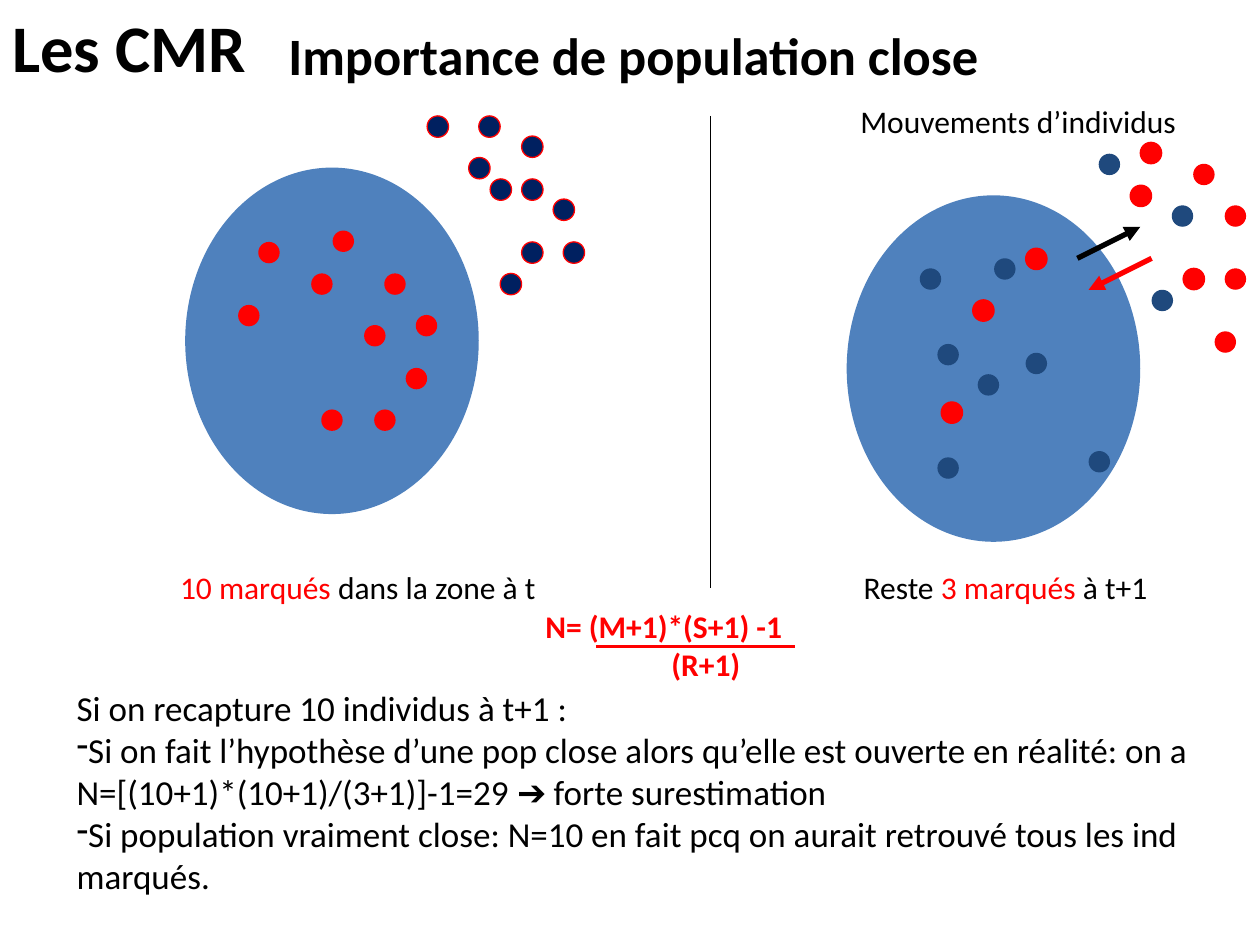
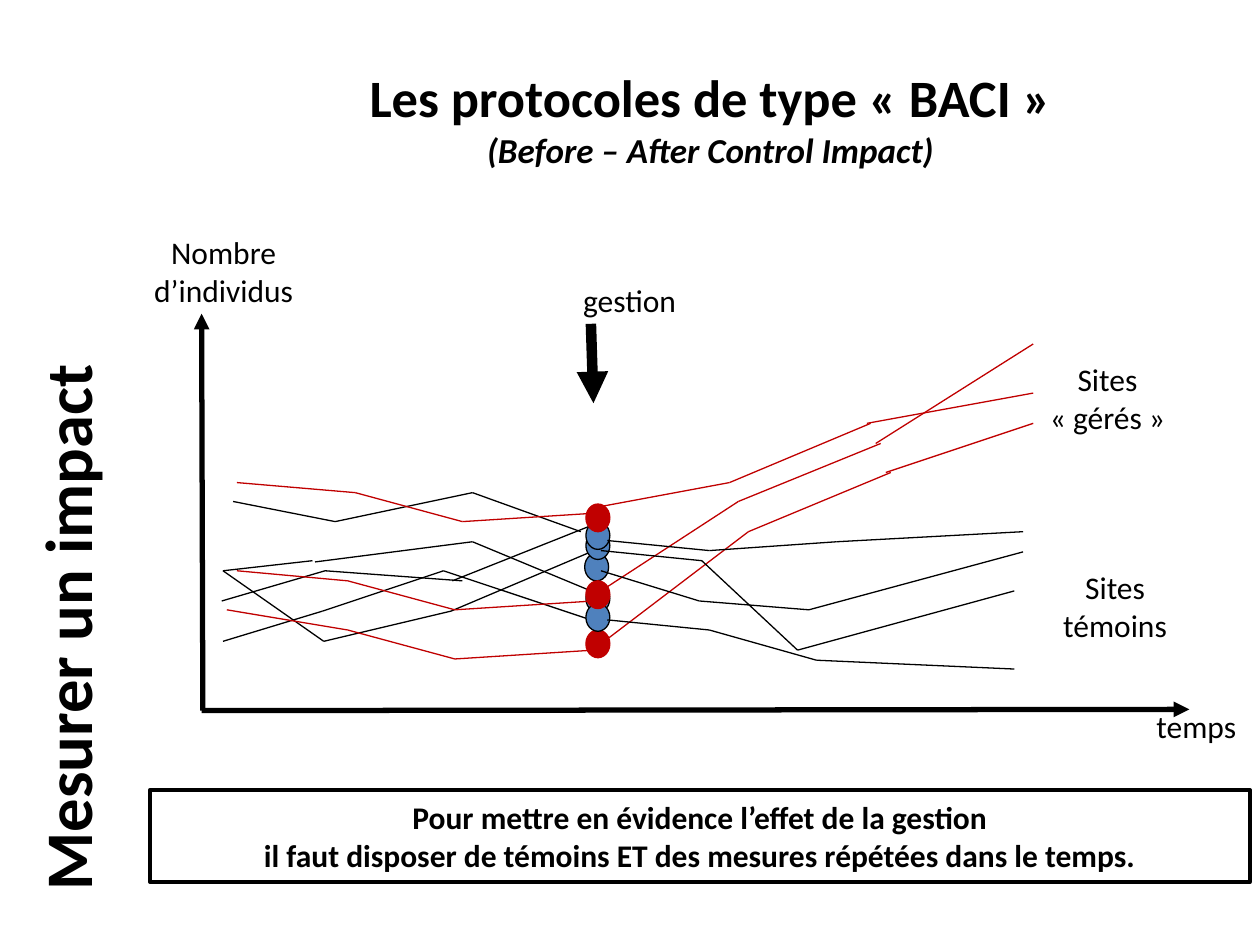
from itertools import pairwise

from lxml.etree import SubElement
from pptx import Presentation
from pptx.dml.color import RGBColor
from pptx.enum.shapes import MSO_CONNECTOR, MSO_SHAPE
from pptx.enum.text import MSO_AUTO_SIZE, PP_ALIGN
from pptx.oxml.ns import qn
from pptx.util import Cm, Pt

BLACK = RGBColor(0x00, 0x00, 0x00)
RED = RGBColor(0xFF, 0x00, 0x00)
DARK_RED = RGBColor(0xC0, 0x00, 0x00)
BLUE = RGBColor(0x4F, 0x81, 0xBD)
DEEP_BLUE = RGBColor(0x1F, 0x49, 0x7D)
NAVY = RGBColor(0x00, 0x20, 0x60)

GRID = 2.54
SLIDE_SIZE = (10, 7.5)
ZONE_SIZE = (2.33, 2.75)
ANIMAL_SIZE = (0.17, 0.17)
SITE_SIZE = (0.19, 0.22)
THIN = 0.75

STYLES = {
    "section": {"size": Pt(38), "bold": True},
    "title": {"size": Pt(30), "bold": True},
    "subtitle": {"size": Pt(20), "bold": True, "italic": True},
    "body": {"size": Pt(20)},
    "label": {"size": Pt(18)},
    "strong": {"size": Pt(18), "bold": True},
}
LEFT = {"alignment": PP_ALIGN.LEFT}
CENTER = {"alignment": PP_ALIGN.CENTER}
FIT = {"word_wrap": False, "auto_size": MSO_AUTO_SIZE.SHAPE_TO_FIT_TEXT}
WRAP = {**FIT, "word_wrap": True}

ZONES = [(1.47, 1.33), (6.72, 1.55)]
ANIMALS = [
    (RED, None, [
        (1.89, 2.42), (2.47, 2.17), (2.55, 3.25), (2.97, 3.25), (3.05, 2.17),
        (2.89, 2.58), (2.64, 1.83), (3.3, 2.5), (3.22, 2.92), (2.05, 1.92),
        (9.64, 2.63), (9.72, 2.13), (9.47, 1.3), (9.72, 1.63),
    ]),
    (NAVY, RED, [
        (4.39, 1.58), (4.14, 1.08), (4.14, 1.92), (3.89, 1.42), (4.47, 1.92),
        (3.97, 2.17), (4.14, 1.42), (3.39, 0.92), (3.8, 0.92), (3.72, 1.25),
    ]),
    (DEEP_BLUE, None, [
        (9.3, 1.63), (9.14, 2.3), (8.14, 2.8), (7.89, 2.05), (8.72, 1.22),
        (7.3, 2.13), (7.76, 2.97), (8.64, 3.58), (7.44, 2.73), (7.44, 3.63),
    ]),
    (RED, RED, [
        (7.72, 2.38), (9.39, 2.13), (8.14, 1.97), (7.47, 3.19), (9.05, 1.13),
        (8.97, 1.47),
    ]),
]
DIVIDER = [(5.64, 0.92), (5.64, 4.67)]
DEPARTURE = [(8.55, 2.05), (9.05, 1.8)]
ARRIVAL = [(9.14, 2.05), (8.64, 2.3)]
FRACTION_BAR = [(4.73, 5.13), (6.31, 5.13)]

CLOSED_POPULATION_TEXTS = [
    ((0, 0, 2.44, 0.74), FIT, LEFT, [("section", [("Les CMR", BLACK)])]),
    ((2.19, 0.13, 6.48, 0.6), FIT, LEFT,
     [("title", [("Importance de population close", BLACK)])]),
    ((6.73, 0.76, 2.74, 0.4), FIT, LEFT,
     [("label", [("Mouvements d’individus", BLACK)])]),
    ((1.07, 4.46, 3.54, 0.4), WRAP, CENTER,
     [("label", [("10 marqués ", RED), ("dans la zone à t", BLACK)])]),
    ((6.74, 4.46, 2.48, 0.4), FIT, CENTER,
     [("label", [("Reste ", BLACK), ("3 marqués ", RED), ("à t+1", BLACK)])]),
    ((4.23, 4.77, 2.5, 0.71), WRAP, LEFT,
     [("strong", [("N= (M+1)*(S+1) -1", RED)]),
      ("strong", [("(R+1)", RED)], {"indent": 1})]),
    ((0.51, 5.4, 9.14, 1.78), WRAP, LEFT,
     [("body", [("Si on recapture 10 individus à t+1 :", BLACK)]),
      ("body", [("Si on fait l’hypothèse d’une pop close alors qu’elle est "
                 "ouverte en réalité: on a N=[(10+1)*(10+1)/(3+1)]-1=29 ➔ "
                 "forte surestimation", BLACK)], {"bullet": "-"}),
      ("body", [("Si population vraiment close: N=10 en fait pcq on aurait "
                 "retrouvé tous les ind marqués.", BLACK)], {"bullet": "-"})]),
]

AXES = [[(1.61, 5.64), (1.6, 2.49)], [(1.6, 5.64), (9.44, 5.63)]]
MANAGEMENT_ARROW = [(4.69, 2.57), (4.71, 3.2)]
CONTROLS_BEFORE = [
    [(1.76, 4.77), (2.58, 4.53), (3.67, 4.61)],
    [(3.59, 4.61), (4.67, 4.18)],
    [(1.77, 5.09), (2.56, 4.85), (3.52, 4.53), (4.69, 4.92)],
    [(1.85, 3.98), (2.66, 4.14), (3.75, 3.91), (4.61, 4.22)],
    [(1.77, 4.53), (2.57, 5.09), (3.58, 4.85), (4.69, 4.38)],
    [(1.77, 4.53), (2.48, 4.45)],
    [(2.5, 4.46), (3.75, 4.3), (4.69, 4.69)],
]
CONTROLS_AFTER = [
    [(4.82, 4.92), (5.63, 5), (6.48, 5.24), (8.05, 5.31)],
    [(4.77, 4.53), (5.55, 4.77), (6.42, 4.84), (8.12, 4.38)],
    [(4.82, 4.29), (5.63, 4.37), (6.64, 4.3), (8.12, 4.22)],
    [(4.77, 4.37), (5.57, 4.45), (6.33, 5.16), (8.05, 4.69)],
]
MANAGED_BEFORE = [
    [(1.88, 3.83), (2.82, 3.91), (3.67, 4.14), (4.77, 4.07)],
    [(1.88, 4.53), (2.76, 4.61), (3.61, 4.84), (4.71, 4.77)],
    [(1.8, 4.84), (2.76, 5), (3.61, 5.23), (4.71, 5.16)],
]
MANAGED_AFTER = [
    [(4.77, 4.02), (5.79, 3.83), (6.91, 3.36)],
    [(6.88, 3.36), (8.2, 3.12)],
    [(4.77, 4.69), (5.86, 3.98), (6.99, 3.52)],
    [(6.95, 3.52), (8.2, 2.73)],
    [(4.77, 5.11), (5.94, 4.22), (7.07, 3.75)],
    [(7.03, 3.75), (8.2, 3.36)],
]
SITES_AT_MANAGEMENT = [
    (DARK_RED, DARK_RED, [(4.65, 5)]),
    (BLUE, BLACK, [(4.64, 4.39), (4.65, 4.64), (4.65, 4.79), (4.65, 4.22),
                   (4.65, 4.14)]),
    (DARK_RED, DARK_RED, [(4.65, 4.61), (4.65, 4)]),
]

CONCLUSION = ((1.19, 6.27, 8.73, 0.73), WRAP, CENTER, [
    ("strong", [("Pour mettre en évidence l’effet de la gestion", BLACK)]),
    ("strong", [("il faut disposer de témoins ET des mesures répétées dans le "
                 "temps.", BLACK)]),
])
BACI_TEXTS = [
    ((2.81, 0.47, 5.66, 0.94), FIT, CENTER,
     [("title", [("Les protocoles de type « BACI »", BLACK)]),
      ("subtitle", [("(Before – After Control Impact)", BLACK)])]),
    ((1.09, 1.8, 1.37, 0.7), FIT, CENTER,
     [("label", [("Nombre", BLACK)]), ("label", [("d’individus", BLACK)])]),
    ((4.53, 2.18, 1.01, 0.4), FIT, LEFT, [("label", [("gestion", BLACK)])]),
    ((8.17, 2.81, 1.24, 0.7), FIT, CENTER,
     [("label", [("Sites", BLACK)]), ("label", [("« gérés »", BLACK)])]),
    ((8.31, 4.46, 1.08, 0.7), FIT, CENTER,
     [("label", [("Sites", BLACK)]), ("label", [("témoins", BLACK)])]),
    ((9.08, 5.56, 0.88, 0.4), FIT, LEFT, [("label", [("temps", BLACK)])]),
]
SIDE_TITLE = ((-1.93, 4.34, 4.91, 0.74), FIT, LEFT,
              [("section", [("Mesurer un impact", BLACK)])])


def lengths(*values):
    return [Cm(value * GRID) for value in values]


def apply(target, values):
    for name, value in values.items():
        setattr(target, name, value)


def set_indent(paragraph, indent=0, bullet=None):
    properties = paragraph._p.get_or_add_pPr()
    properties.set("marL", str(Cm(indent * GRID)))
    properties.set("indent", "0")
    if bullet:
        SubElement(properties, qn("a:buFontTx"))
        SubElement(properties, qn("a:buChar"), char=bullet)


def write(frame, fitting, alignment, lines):
    apply(frame, fitting)
    for index, (style, pieces, *layout) in enumerate(lines):
        paragraph = frame.add_paragraph() if index else frame.paragraphs[0]
        apply(paragraph, alignment)
        for options in layout:
            set_indent(paragraph, **options)
        for wording, colour in pieces:
            run = paragraph.add_run()
            run.text = wording
            apply(run.font, {"name": "Calibri", **STYLES[style]})
            run.font.color.rgb = colour


def add_text(slide, place, *content):
    box = slide.shapes.add_textbox(*lengths(*place))
    write(box.text_frame, *content)
    return box


def add_figure(slide, kind, place, fill=None, outline=None, width=THIN):
    figure = slide.shapes.add_shape(kind, *lengths(*place))
    figure.shadow.inherit = False
    if fill is None:
        figure.fill.background()
    else:
        figure.fill.solid()
        figure.fill.fore_color.rgb = fill
    if outline is None:
        figure.line.fill.background()
    else:
        figure.line.color.rgb = outline
        figure.line.width = Pt(width)
    return figure


def add_dots(slide, groups, size):
    for fill, outline, corners in groups:
        for corner in corners:
            add_figure(slide, MSO_SHAPE.OVAL, corner + size, fill, outline)


def add_path(slide, points, colour=BLACK, width=THIN, arrow=False):
    for start, end in pairwise(points):
        segment = slide.shapes.add_connector(
            MSO_CONNECTOR.STRAIGHT, *lengths(*start, *end))
        segment.line.color.rgb = colour
        segment.line.width = Pt(width)
        if arrow:
            SubElement(segment.line._get_or_add_ln(), qn("a:tailEnd"),
                       type="triangle")
        SubElement(segment._element.spPr, qn("a:effectLst"))


def add_paths(slide, paths, colour):
    for points in paths:
        add_path(slide, points, colour)


def build_closed_population(slide):
    add_path(slide, DIVIDER)
    add_dots(slide, [(BLUE, None, ZONES)], ZONE_SIZE)
    add_dots(slide, ANIMALS, ANIMAL_SIZE)
    add_path(slide, DEPARTURE, BLACK, 3, arrow=True)
    add_path(slide, ARRIVAL, RED, 3, arrow=True)
    for text in CLOSED_POPULATION_TEXTS:
        add_text(slide, *text)
    add_path(slide, FRACTION_BAR, RED, 1.5)


def build_baci(slide):
    place, *content = CONCLUSION
    frame = add_figure(slide, MSO_SHAPE.RECTANGLE, place, None, BLACK, 2.25)
    write(frame.text_frame, *content)
    for axis in AXES:
        add_path(slide, axis, BLACK, 3, arrow=True)
    add_paths(slide, CONTROLS_BEFORE, BLACK)
    add_path(slide, MANAGEMENT_ARROW, BLACK, 6, arrow=True)
    add_dots(slide, SITES_AT_MANAGEMENT, SITE_SIZE)
    add_paths(slide, MANAGED_AFTER, DARK_RED)
    add_paths(slide, CONTROLS_AFTER, BLACK)
    add_paths(slide, MANAGED_BEFORE, DARK_RED)
    for text in BACI_TEXTS:
        add_text(slide, *text)
    add_text(slide, *SIDE_TITLE).rotation = 270


def main():
    deck = Presentation()
    deck.slide_width, deck.slide_height = lengths(*SLIDE_SIZE)
    blank = deck.slide_layouts[6]
    for build in (build_closed_population, build_baci):
        build(deck.slides.add_slide(blank))
    deck.save("out.pptx")


if __name__ == "__main__":
    main()
